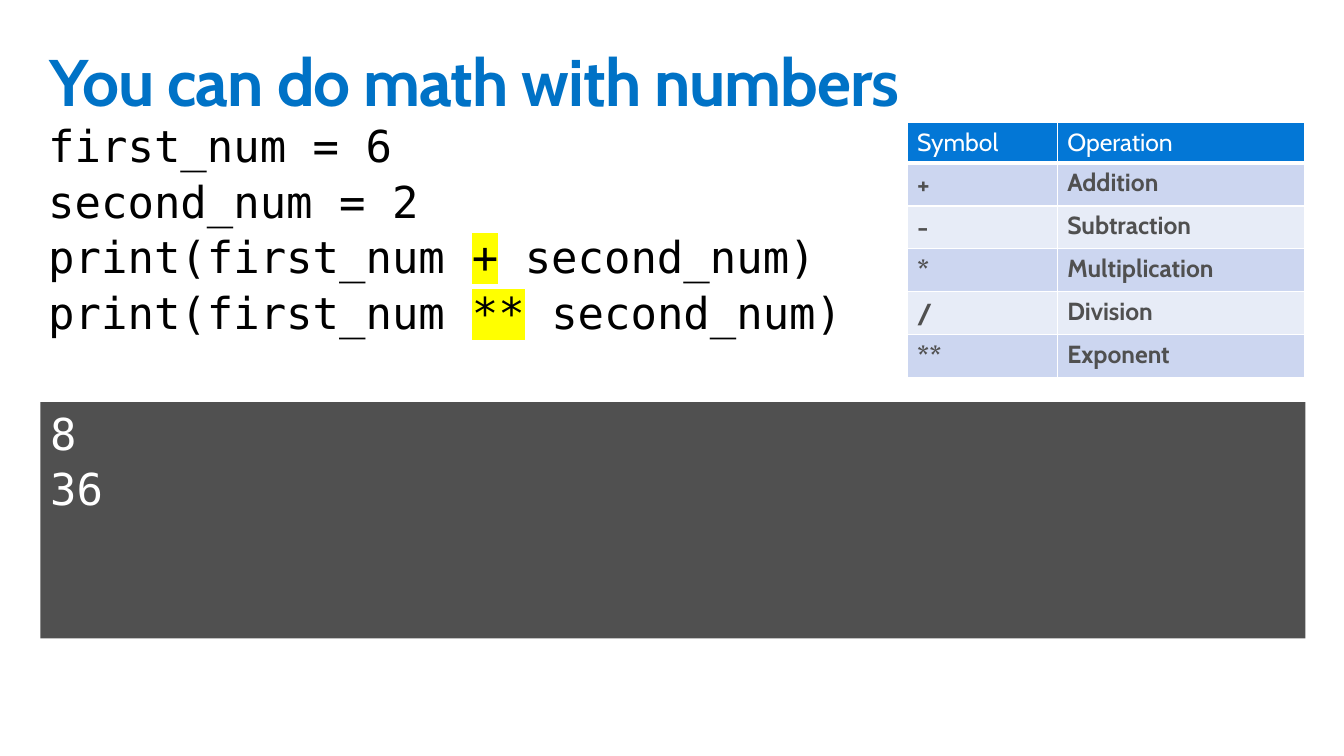
from dataclasses import dataclass

from lxml import etree
from pptx import Presentation
from pptx.dml.color import RGBColor
from pptx.enum import shapes, text
from pptx.oxml import ns
from pptx.util import Inches, Pt


@dataclass(frozen=True)
class Theme:
    heading_font: str = "Cabin"
    code_font: str = "DejaVu Sans Mono"
    title_blue: str = "0072C6"
    header_blue: str = "0377D6"
    band_dark: str = "CCD6F0"
    band_light: str = "E7ECF7"
    gray: str = "505050"
    black: str = "000000"
    white: str = "FFFFFF"
    marker: str = "FFFF00"
    title_size: int = 48
    code_size: int = 32
    symbol_size: int = 20
    table_size: int = 18


THEME = Theme()

CODE = [
    ["first_num = 6"],
    ["second_num = 2"],
    ["print(first_num ", "+", " second_num)"],
    ["print(first_num ", "**", " second_num)"],
]
OUTPUT = [["8"], ["36"]]
OPERATIONS = [
    ("Symbol", "Operation"),
    ("+", "Addition"),
    ("-", "Subtraction"),
    ("*", "Multiplication"),
    ("/", "Division"),
    ("**", "Exponent"),
]


def add_color(parent, tag, color):
    """Append an XML element that holds one solid colour."""
    holder = etree.SubElement(parent, ns.qn(tag))
    etree.SubElement(holder, ns.qn("a:srgbClr")).set("val", color)
    return holder


def add_span(para, words, *, font, size, color, bold=False, spacing=None, highlight=None):
    span = para.add_run()
    span.text = words
    span.font.name = font
    span.font.size = Pt(size)
    span.font.bold = bold
    span.font.color.rgb = RGBColor.from_string(color)
    props = span.font._element
    if spacing is not None:
        props.set("spc", str(round(spacing * 100)))
    if highlight:
        marker = add_color(props, "a:highlight", highlight)
        props.find(ns.qn("a:solidFill")).addnext(marker)


def prepare_frame(box):
    frame = box.text_frame
    frame.word_wrap = True
    frame.vertical_anchor = text.MSO_ANCHOR.TOP
    frame.margin_left = frame.margin_right = Inches(0.1)
    frame.margin_top = frame.margin_bottom = Inches(0.1)
    return frame


def add_title(page, words):
    box = page.shapes.add_textbox(Inches(0.4), Inches(0.4), Inches(12.8), Inches(1))
    para = prepare_frame(box).paragraphs[0]
    para.line_spacing = 0.9
    add_span(para, words, font=THEME.heading_font, size=THEME.title_size,
             color=THEME.title_blue, bold=True, spacing=-0.7)


def write_code(box, lines, color):
    """Write lines of code; every second piece of a line is highlighted."""
    frame = prepare_frame(box)
    for number, pieces in enumerate(lines):
        para = frame.add_paragraph() if number else frame.paragraphs[0]
        para.alignment = text.PP_ALIGN.LEFT
        para.line_spacing = 0.9
        para.space_before = Pt(6)
        for index, piece in enumerate(pieces):
            add_span(para, piece, font=THEME.code_font, size=THEME.code_size, color=color,
                     highlight=THEME.marker if index % 2 else None)


def add_code(page, lines):
    box = page.shapes.add_textbox(Inches(0.39), Inches(1.16), Inches(12.8), Inches(4.67))
    write_code(box, lines, THEME.black)


def add_console(page, lines):
    box = page.shapes.add_shape(shapes.MSO_SHAPE.RECTANGLE, Inches(0.41), Inches(4.07),
                                Inches(12.8), Inches(2.39))
    box.shadow.inherit = False
    box.fill.solid()
    box.fill.fore_color.rgb = RGBColor.from_string(THEME.gray)
    box.line.fill.background()
    write_code(box, lines, THEME.white)


def style_cell(cell, fill, bottom):
    """Fill a cell and give it white borders, the bottom one in its own width."""
    props = cell._tc.get_or_add_tcPr()
    for side, width in (("L", 1), ("R", 1), ("T", 1), ("B", bottom)):
        border = add_color(props, f"a:ln{side}", THEME.white)
        border.set("w", str(Pt(width)))
        fill_holder = etree.Element(ns.qn("a:solidFill"))
        fill_holder.append(border[0])
        border.append(fill_holder)
    cell.fill.solid()
    cell.fill.fore_color.rgb = RGBColor.from_string(fill)


def add_operations(page, rows):
    widths = (1.52, 2.5)
    header_height, row_height = 0.41, 0.43
    height = header_height + row_height * (len(rows) - 1)
    table = page.shapes.add_table(len(rows), len(widths), Inches(9.18), Inches(1.24),
                                  Inches(sum(widths)), Inches(height)).table
    for column, width in zip(table.columns, widths):
        column.width = Inches(width)
    for r, row in enumerate(rows):
        header = r == 0
        table.rows[r].height = Inches(header_height if header else row_height)
        band = THEME.band_dark if r % 2 else THEME.band_light
        for c, words in enumerate(row):
            cell = table.cell(r, c)
            style_cell(cell, THEME.header_blue if header else band, 3 if header else 1)
            is_symbol = c == 0 and not header
            add_span(cell.text_frame.paragraphs[0], words, font=THEME.heading_font,
                     size=THEME.symbol_size if is_symbol else THEME.table_size,
                     color=THEME.white if header else THEME.gray, bold=not header)


def main():
    deck = Presentation()
    deck.slide_width, deck.slide_height = Inches(13.6), Inches(7.65)
    page = deck.slides.add_slide(deck.slide_layouts[6])
    add_title(page, "You can do math with numbers")
    add_code(page, CODE)
    add_console(page, OUTPUT)
    add_operations(page, OPERATIONS)
    deck.save("out.pptx")


if __name__ == "__main__":
    main()
